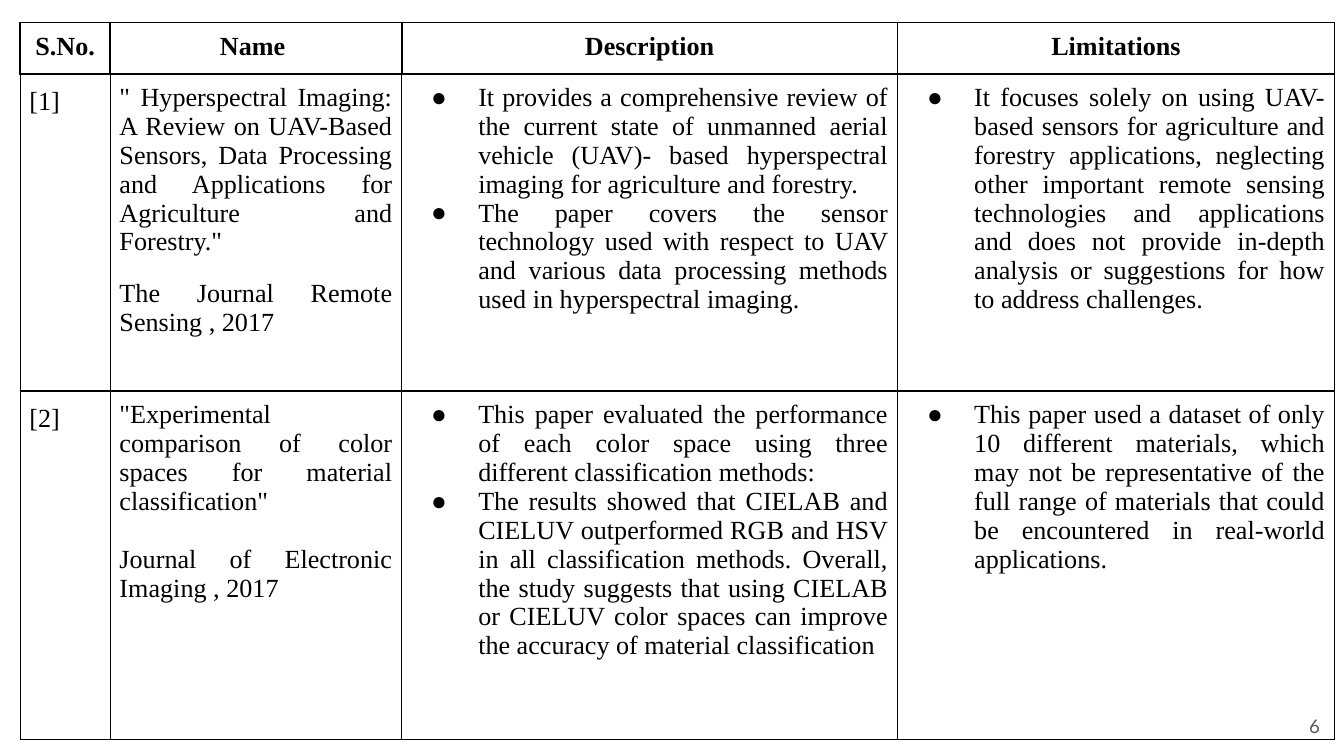
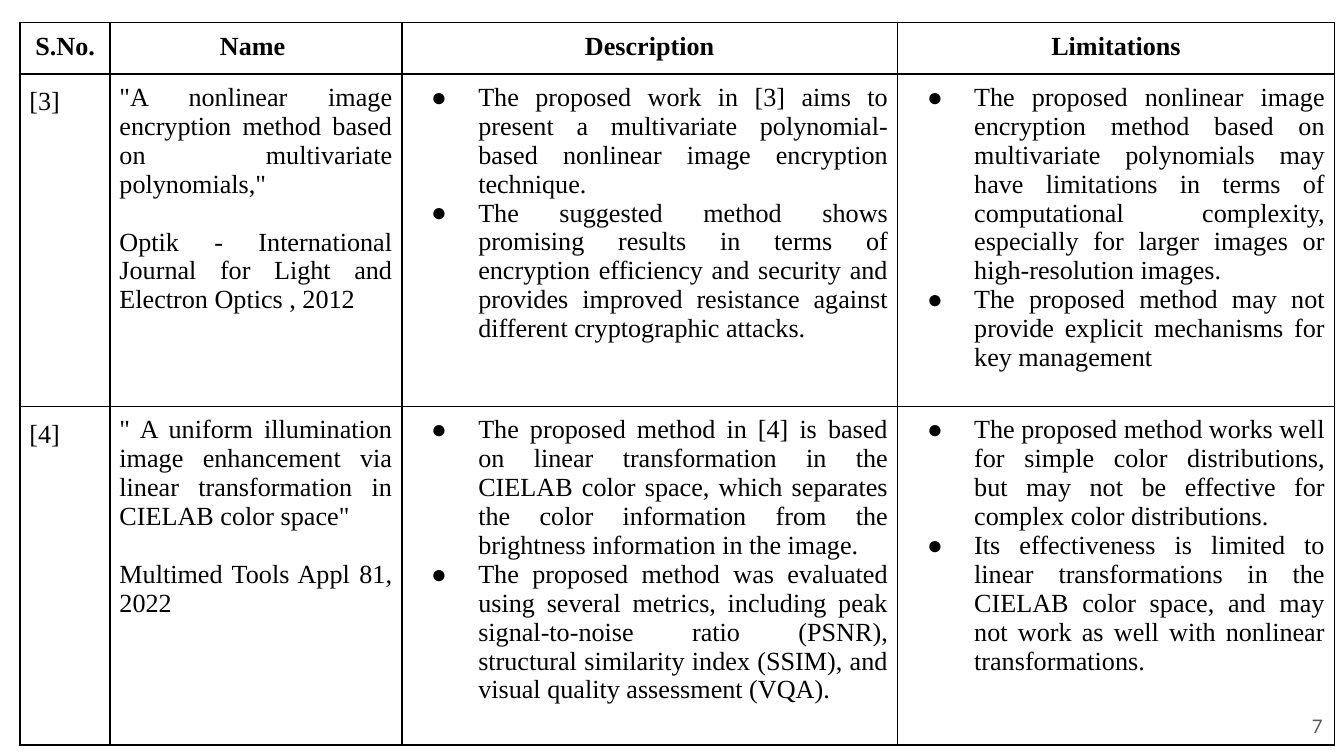
"""Build two literature survey slides, each with a bordered comparison table."""

from dataclasses import dataclass

from lxml import etree
from pptx import Presentation
from pptx.dml.color import RGBColor
from pptx.enum.text import MSO_ANCHOR, PP_ALIGN
from pptx.oxml.ns import qn
from pptx.util import Inches, Pt

CENTER, JUSTIFY, RIGHT = PP_ALIGN.CENTER, PP_ALIGN.JUSTIFY, PP_ALIGN.RIGHT
MIDDLE = MSO_ANCHOR.MIDDLE

BLACK = RGBColor(0x00, 0x00, 0x00)
GRAY = RGBColor(0x59, 0x59, 0x59)
TABLE_FONT = "Times New Roman"
NUMBER_FONT = "Lato"

HEADINGS = ("S.No.", "Name ", "Description", "Limitations")
COLUMN_WIDTHS = (0.67, 2.17, 3.69, 3.25)
HEADER_HEIGHT = 0.38
CELL_MARGIN = Inches(5 / 72)
HEADER_SIDE, HEADER_TOP = 1, 0.75
LINE_GAP = 15.5


@dataclass(frozen=True)
class Paper:
    """One surveyed paper, shown as a table row."""

    label: str
    title: str
    journal: str
    description: tuple[str, ...]
    limitations: tuple[str, ...]
    height: float
    journal_gap: float = LINE_GAP


@dataclass(frozen=True)
class Survey:
    """One slide of the survey."""

    number: int
    number_left: float
    grid: float
    papers: tuple[Paper, ...]


SURVEYS = (
    Survey(6, 9.32, 0.75, (
        Paper(
            "[1]",
            '" Hyperspectral Imaging: A Review on UAV-Based Sensors, Data Processing '
            'and Applications for Agriculture and Forestry."',
            "The Journal Remote Sensing , 2017",
            (
                "It provides a comprehensive review of the current state of unmanned aerial "
                "vehicle (UAV)- based hyperspectral imaging for agriculture and forestry.",
                "The paper covers the sensor technology used with respect to UAV and various "
                "data processing methods used in hyperspectral imaging.",
            ),
            (
                "It focuses solely on using UAV-based sensors for agriculture and forestry "
                "applications, neglecting other important remote sensing technologies and "
                "applications and does not provide in-depth analysis or suggestions for how "
                "to address challenges.",
            ),
            2.36,
            journal_gap=12,
        ),
        Paper(
            "[2]",
            '"Experimental comparison of color spaces for material classification"',
            "Journal of Electronic Imaging , 2017",
            (
                "This paper evaluated the performance of each color space using three "
                "different classification methods:",
                "The results showed that CIELAB and CIELUV outperformed RGB and HSV in all "
                "classification methods. Overall, the study suggests that using CIELAB or "
                "CIELUV color spaces can improve the accuracy of material classification",
            ),
            (
                "This paper used a dataset of only 10 different materials, which may not be "
                "representative of the full range of materials that could be encountered in "
                "real-world applications.",
            ),
            2.59,
        ),
    )),
    Survey(7, 9.34, 1, (
        Paper(
            "[3]",
            '"A nonlinear image encryption method based on multivariate polynomials,"',
            "Optik - International Journal for Light and Electron Optics , 2012",
            (
                "The proposed work in [3] aims to present a multivariate polynomial-based "
                "nonlinear image encryption technique.",
                "The suggested method shows promising results in terms of encryption "
                "efficiency and security and provides improved resistance against different "
                "cryptographic attacks.",
            ),
            (
                "The proposed nonlinear image encryption method based on multivariate "
                "polynomials may have limitations in terms of computational complexity, "
                "especially for larger images or high-resolution images.",
                "The proposed method may not provide explicit mechanisms for key management",
            ),
            2.36,
        ),
        Paper(
            "[4]",
            '" A uniform illumination image enhancement via linear transformation in '
            'CIELAB color space"',
            "Multimed Tools Appl 81, 2022",
            (
                "The proposed method in [4] is based on linear transformation in the CIELAB "
                "color space, which separates the color information from the brightness "
                "information in the image.",
                "The proposed method was evaluated using several metrics, including peak "
                "signal-to-noise ratio (PSNR), structural similarity index (SSIM), and "
                "visual quality assessment (VQA).",
            ),
            (
                "The proposed method works well for simple color distributions, but may not "
                "be effective for complex color distributions.",
                "Its effectiveness is limited to linear transformations in the CIELAB color "
                "space, and may not work as well with nonlinear transformations.",
            ),
            2.52,
        ),
    )),
)


def add_run(paragraph, text: str, font_name: str, size: float, color: RGBColor,
            bold: bool = False) -> None:
    """Add one formatted run to a paragraph."""
    run = paragraph.add_run()
    run.text = text
    run.font.name = font_name
    run.font.size = Pt(size)
    run.font.color.rgb = color
    run.font.bold = bold


def add_bullet(paragraph) -> None:
    """Give a paragraph a black round bullet with a hanging indent."""
    properties = paragraph._p.get_or_add_pPr()
    properties.set("marL", str(Inches(0.5)))
    properties.set("indent", str(Inches(-0.35)))
    bullet_color = etree.SubElement(properties, qn("a:buClr"))
    etree.SubElement(bullet_color, qn("a:srgbClr"), val=str(BLACK))
    etree.SubElement(properties, qn("a:buFont"), typeface=TABLE_FONT)
    etree.SubElement(properties, qn("a:buChar"), char="●")


def set_borders(cell, side: float, top: float, bottom: float) -> None:
    """Draw solid black borders on a cell and leave it unfilled."""
    properties = cell._tc.get_or_add_tcPr()
    for edge, width in (("L", side), ("R", side), ("T", top), ("B", bottom)):
        line = etree.SubElement(properties, qn(f"a:ln{edge}"), w=str(Pt(width)))
        fill = etree.SubElement(line, qn("a:solidFill"))
        etree.SubElement(fill, qn("a:srgbClr"), val=str(BLACK))
        etree.SubElement(line, qn("a:prstDash"), val="solid")
    cell.fill.background()


def fill_cell(cell, texts: tuple[str, ...], alignment: PP_ALIGN = JUSTIFY,
              bold: bool = False, bulleted: bool = False, gap: float = 0,
              line_spacing: float = 1.0) -> None:
    """Write the paragraphs of one table cell."""
    cell.margin_left = cell.margin_right = CELL_MARGIN
    cell.margin_top = cell.margin_bottom = CELL_MARGIN
    frame = cell.text_frame
    for index, text in enumerate(texts):
        paragraph = frame.add_paragraph() if index else frame.paragraphs[0]
        if bulleted:
            add_bullet(paragraph)
        paragraph.alignment = alignment
        paragraph.line_spacing = line_spacing
        if index and gap:
            paragraph.space_before = Pt(gap)
        add_run(paragraph, text, TABLE_FONT, 14, BLACK, bold)


def add_survey_table(slide, survey: Survey) -> None:
    """Draw the table of papers."""
    heights = (HEADER_HEIGHT, *(paper.height for paper in survey.papers))
    table = slide.shapes.add_table(
        len(heights), len(HEADINGS), Inches(0.15), Inches(0.17),
        Inches(sum(COLUMN_WIDTHS)), Inches(sum(heights)),
    ).table
    table.first_row = table.horz_banding = False
    for column, width in zip(table.columns, COLUMN_WIDTHS):
        column.width = Inches(width)
    for row, height in zip(table.rows, heights):
        row.height = Inches(height)

    for cell, heading in zip(table.rows[0].cells, HEADINGS):
        fill_cell(cell, (heading,), CENTER, bold=True)
        set_borders(cell, HEADER_SIDE, HEADER_TOP, survey.grid)
    for row_index, paper in enumerate(survey.papers, start=1):
        cells = tuple(table.rows[row_index].cells)
        label, name, description, limitations = cells
        fill_cell(label, (paper.label,), line_spacing=1.15)
        fill_cell(name, (paper.title, paper.journal), gap=paper.journal_gap)
        fill_cell(description, paper.description, bulleted=True)
        fill_cell(limitations, paper.limitations, bulleted=True)
        for cell in cells:
            set_borders(cell, survey.grid, survey.grid, survey.grid)


def add_page_number(slide, survey: Survey) -> None:
    """Put the page number in the lower right corner."""
    page_number = slide.shapes.add_textbox(
        Inches(survey.number_left), Inches(5.19), Inches(0.6), Inches(0.43))
    frame = page_number.text_frame
    frame.word_wrap = True
    frame.vertical_anchor = MIDDLE
    frame.margin_left = frame.margin_right = Inches(0.1)
    frame.margin_top = frame.margin_bottom = Inches(0.1)
    frame.paragraphs[0].alignment = RIGHT
    add_run(frame.paragraphs[0], str(survey.number), NUMBER_FONT, 10, GRAY)


def main() -> None:
    """Build and save the presentation."""
    presentation = Presentation()
    presentation.slide_width = Inches(10)
    presentation.slide_height = Inches(10 * 9 / 16)
    blank_layout = presentation.slide_layouts[6]
    for survey in SURVEYS:
        slide = presentation.slides.add_slide(blank_layout)
        add_survey_table(slide, survey)
        add_page_number(slide, survey)
    presentation.save("out.pptx")


if __name__ == "__main__":
    main()
